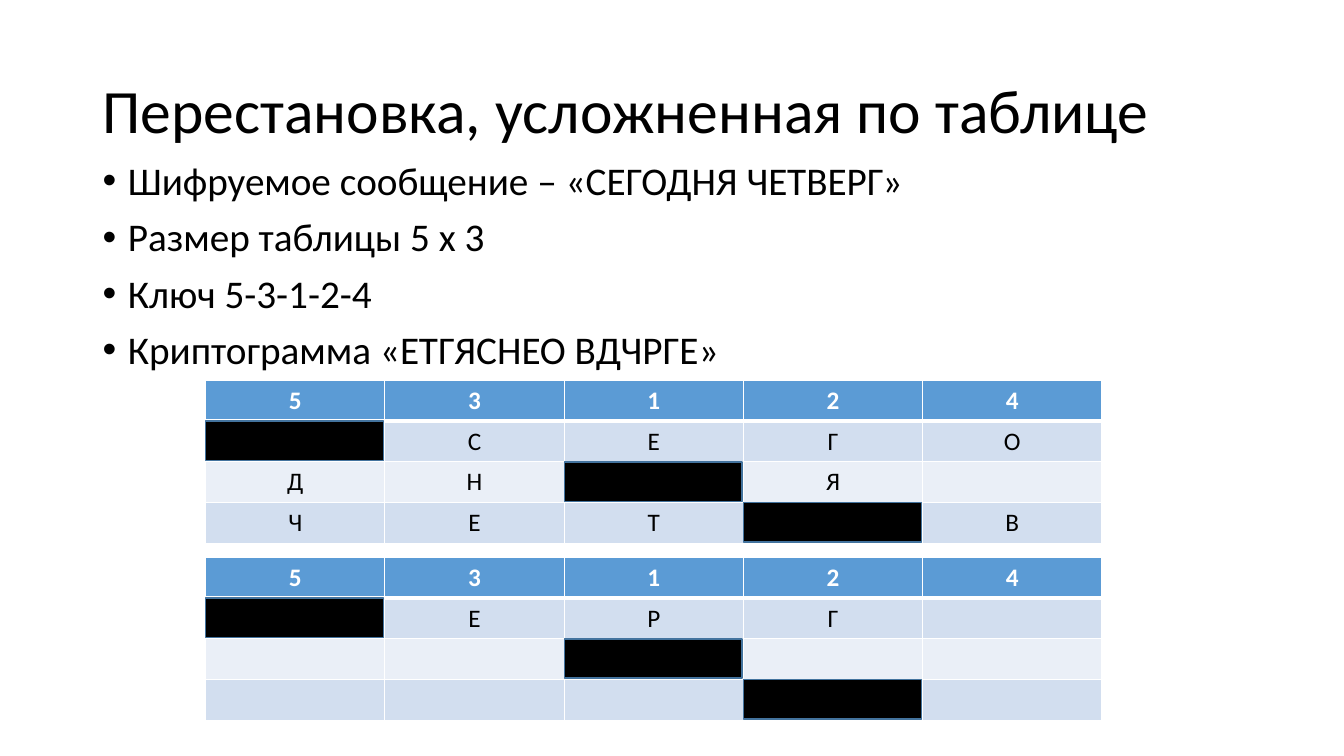
"""Build a slide on the table-based permutation cipher."""
from dataclasses import dataclass

from lxml.etree import SubElement as Sub
from pptx import Presentation
from pptx.dml.color import RGBColor as RGB
from pptx.enum.shapes import MSO_SHAPE as Kind
from pptx.enum.text import MSO_ANCHOR as Anchor, PP_ALIGN as Align
from pptx.oxml.ns import qn
from pptx.slide import Slide
from pptx.util import Inches, Pt

WIDE, HIGH = 13.33, 7.5
HUES = {"ink": "000000", "paper": "FFFFFF", "head": "5B9BD5",
        "dark": "D2DEEF", "light": "EAEFF7", "edge": "43739E"}
FONT = "Calibri"
BANDS = ["head", "dark", "light", "dark"]
MASKS = [(0, 1), (2, 2), (3, 3)]
LEFT, SPAN, DEEP = 15.3, 66.7, 21.6
KEY = "53124"
ITEMS = ["Шифруемое сообщение – «СЕГОДНЯ ЧЕТВЕРГ»", "Размер таблицы 5 х 3",
         "Ключ 5-3-1-2-4", "Криптограмма «ЕТГЯСНЕО ВДЧРГЕ»"]
GRIDS = {50.3: [KEY, " СЕГО", "ДН Я ", "ЧЕТ В"],
         73.7: [KEY, " ЕРГ ", " " * 5, " " * 5]}


def apply(goal, form):
    """Set every attribute of the format on the goal."""
    for name, value in form.items():
        setattr(goal, name, value)


@dataclass
class Page:
    """Hold the slide and its style; lengths are hundredths of its size."""
    slide: Slide
    hues: dict
    font: str

    def box(self, left, top, wide, high):
        """Turn shares of the slide into lengths."""
        return [Inches(share * size / 100) for share, size in
                zip((left, top, wide, high), (WIDE, HIGH) * 2)]

    def hue(self, name):
        """Give the named colour."""
        return RGB.from_string(self.hues[name])

    def paint(self, fill, name):
        """Fill with the named colour."""
        fill.solid()
        fill.fore_color.rgb = self.hue(name)

    def letter(self, para, words, size, hue="ink", bold=False, **form):
        """Put one styled run into a paragraph."""
        apply(para, form)
        run = para.add_run()
        run.text = words
        apply(run.font, {"size": Pt(size), "name": self.font, "bold": bold})
        run.font.color.rgb = self.hue(hue)

    def text(self, place, lines, size, anchor, bullet=False, **form):
        """Add a text box with one paragraph per line."""
        frame = self.slide.shapes.add_textbox(*self.box(*place)).text_frame
        apply(frame, {"word_wrap": True, "vertical_anchor": anchor})
        for spot, words in enumerate(lines):
            para = frame.add_paragraph() if spot else frame.paragraphs[0]
            self.letter(para, words, size, line_spacing=0.9, **form)
            if bullet:
                props = para._p.get_or_add_pPr()
                dent = Inches(0.25)
                props.set("marL", str(dent))
                props.set("indent", str(-dent))
                Sub(props, qn("a:buFont"), typeface="Arial")
                Sub(props, qn("a:buChar"), char="•")

    def rule(self, cell, side, width):
        """Draw one border of a cell."""
        line = Sub(cell._tc.get_or_add_tcPr(), qn("a:ln" + side),
                   w=str(Pt(width)))
        fill = Sub(line, qn("a:solidFill"))
        Sub(fill, qn("a:srgbClr"), val=self.hues["paper"])

    def table(self, place, rows):
        """Add a banded table with one letter per cell."""
        grid = self.slide.shapes.add_table(
            len(rows), len(rows[0]), *self.box(*place)).table
        for down, row in enumerate(rows):
            head = down == 0
            thick = {"T": 3 if down == 1 else 1, "B": 3 if head else 1}
            for across, sign in enumerate(row):
                cell = grid.cell(down, across)
                for side in "LRTB":
                    self.rule(cell, side, thick.get(side, 1))
                self.paint(cell.fill, BANDS[down])
                if sign.strip():
                    self.letter(cell.text_frame.paragraphs[0], sign, 18,
                                "paper" if head else "ink", head,
                                alignment=Align.CENTER)

    def mask(self, place):
        """Add a black block over a cell."""
        block = self.slide.shapes.add_shape(Kind.RECTANGLE, *self.box(*place))
        block.shadow.inherit = False
        self.paint(block.fill, "ink")
        self.paint(block.line.fill, "edge")
        block.line.width = Pt(1)


deck = Presentation()
apply(deck, {"slide_width": Inches(WIDE), "slide_height": Inches(HIGH)})
page = Page(deck.slides.add_slide(deck.slide_layouts[6]), HUES, FONT)
page.text((6.9, 5.3, 86.3, 19.3), ["Перестановка, усложненная по таблице"],
          44, Anchor.MIDDLE)
page.text((6.9, 20.7, 86.3, 63.5), ITEMS, 28, Anchor.TOP, True,
          space_before=Pt(10))
step, rise = SPAN / len(KEY), DEEP / len(BANDS)
for top, rows in GRIDS.items():
    page.table((LEFT, top, SPAN, DEEP), rows)
    for across, down in MASKS:
        page.mask((LEFT + across * step, top + down * rise,
                   step - 0.1, rise - 0.2))
deck.save("out.pptx")
